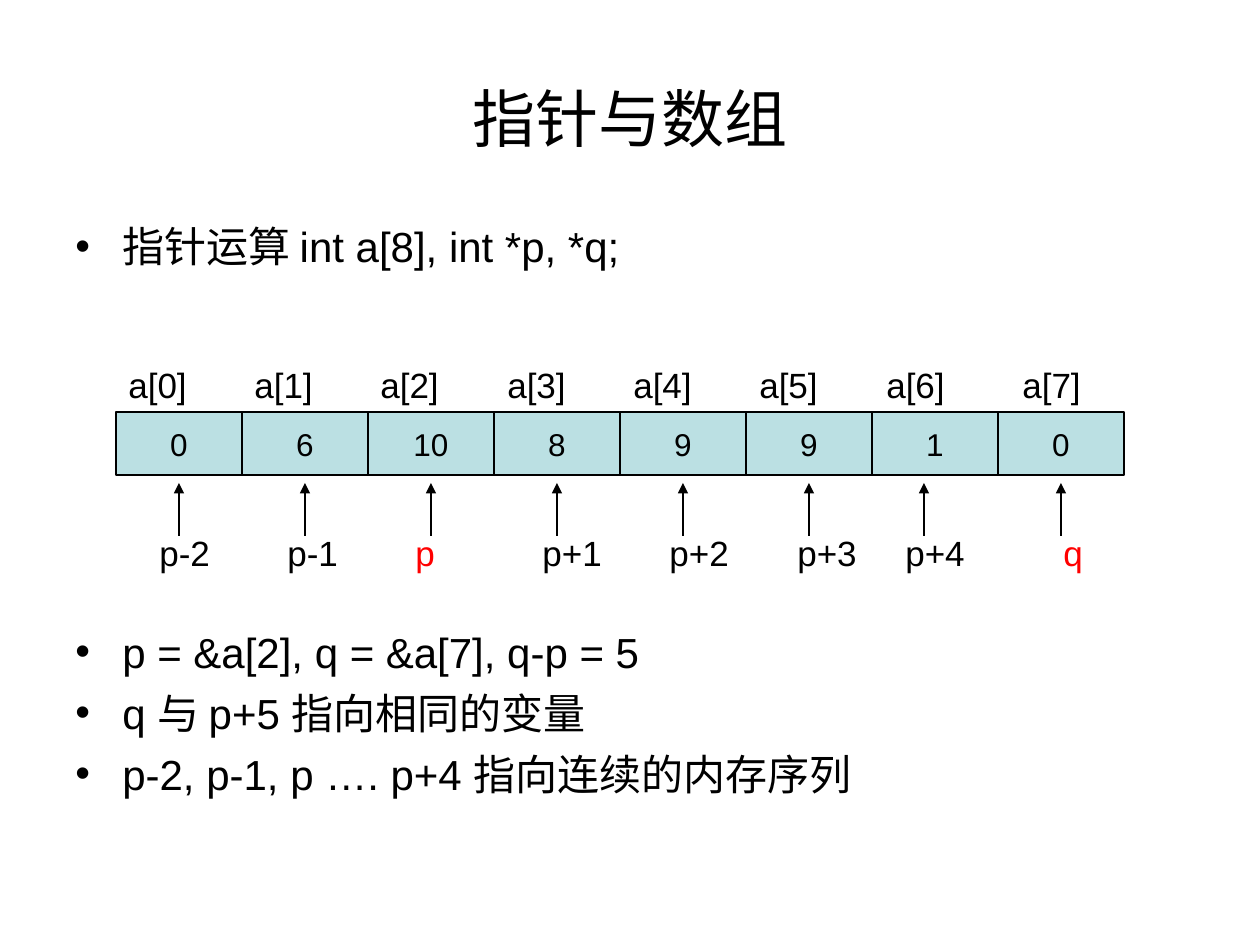
import dataclasses
import typing

import pptx
import pptx.dml.color
import pptx.enum.shapes
import pptx.enum.text
import pptx.oxml
import pptx.oxml.ns
import pptx.util

EMU = 914400 / 126  # one px
FONT = "Arial"
HUES = {"ink": "000000", "cell": "BBE0E3", "mark": "FF0000", "page": "FFFFFF"}
NS = pptx.oxml.ns.nsdecls("a")
ALIGN = pptx.enum.text.PP_ALIGN
MID = pptx.enum.text.MSO_ANCHOR.MIDDLE


@dataclasses.dataclass
class Box:
    left: int
    top: int
    width: int
    height: int


@dataclasses.dataclass
class Slot:
    name: str   # label above the cell
    value: str  # number in the cell
    ref: str    # pointer below the cell
    hue: str
    tip: int    # centre of the arrow
    up: int     # tab stop of the name
    down: int   # tab stop of the pointer


SLOTS = [
    Slot("a[0]", "0", "p-2", "ink", 179, 0, 0),
    Slot("a[1]", "6", "p-1", "ink", 305, 126, 128),
    Slot("a[2]", "10", "p", "mark", 431, 252, 256),
    Slot("a[3]", "8", "p+1", "ink", 557, 379, 383),
    Slot("a[4]", "9", "p+2", "ink", 683, 505, 510),
    Slot("a[5]", "9", "p+3", "ink", 809, 631, 638),
    Slot("a[6]", "1", "p+4", "ink", 924, 758, 746),
    Slot("a[7]", "0", "q", "mark", 1061, 894, 904),
]
CELL = Box(116, 412, 126, 63)


def px(n: int) -> int:
    return round(n * EMU)


def place(box: Box) -> typing.List[int]:
    return [px(n) for n in dataclasses.astuple(box)]


def color(name: str) -> pptx.dml.color.RGBColor:
    return pptx.dml.color.RGBColor.from_string(HUES[name])


def style(run, size: int, hue: str = "ink") -> None:
    run.font.size = pptx.util.Pt(size)
    run.font.name = FONT
    run.font.color.rgb = color(hue)


def add(node, xml: str) -> None:
    node.append(pptx.oxml.parse_xml(xml))


def write(slide, box: Box, text: str, size: int):
    frame = slide.shapes.add_textbox(*place(box)).text_frame
    frame.word_wrap = True
    frame.text = text
    for para in frame.paragraphs:
        for run in para.runs:
            style(run, size)
    return frame


def bullets(slide, box: Box, text: str, space: float) -> None:
    for para in write(slide, box, text, 24).paragraphs:
        para.line_spacing = space
        para.space_before = pptx.util.Pt(6)
        props = para._p.get_or_add_pPr()
        props.set("marL", str(px(47)))
        props.set("indent", str(px(-47)))
        add(props, f'<a:buClr {NS}><a:srgbClr val="{HUES["ink"]}"/></a:buClr>')
        add(props, f'<a:buFont {NS} typeface="{FONT}"/>')
        add(props, f'<a:buChar {NS} char="•"/>')


def labels(slide, box: Box, words: typing.List[str],
           stops: typing.List[int], hues: typing.List[str]) -> None:
    para = write(slide, box, "", 20).paragraphs[0]
    para.space_before = pptx.util.Pt(12.5)
    for i, (word, hue) in enumerate(zip(words, hues)):
        run = para.add_run()
        run.text = "\t" + word if i else word
        style(run, 20, hue)
    tabs = "".join(f'<a:tab pos="{px(n)}" algn="l"/>' for n in stops[1:])
    add(para._p.get_or_add_pPr(), f"<a:tabLst {NS}>{tabs}</a:tabLst>")


def cell(slide, box: Box, text: str) -> None:
    rect = slide.shapes.add_shape(
        pptx.enum.shapes.MSO_SHAPE.RECTANGLE, *place(box))
    rect.shadow.inherit = False
    rect.fill.solid()
    rect.fill.fore_color.rgb = color("cell")
    rect.line.color.rgb = color("ink")
    rect.line.width = pptx.util.Pt(0.75)
    frame = rect.text_frame
    frame.word_wrap = False
    frame.vertical_anchor = MID
    frame.text = text
    frame.paragraphs[0].alignment = ALIGN.CENTER
    style(frame.paragraphs[0].runs[0], 18)


def arrow(slide, x: int, low: int, high: int) -> None:
    line = slide.shapes.add_connector(
        pptx.enum.shapes.MSO_CONNECTOR.STRAIGHT,
        px(x), px(low), px(x), px(high))
    line.line.color.rgb = color("ink")
    line.line.width = pptx.util.Pt(0.75)
    add(line.line._get_or_add_ln(), f'<a:tailEnd {NS} type="triangle"/>')
    add(line._element.spPr, f"<a:effectLst {NS}/>")


def main() -> None:
    deck = pptx.Presentation()
    deck.slide_width, deck.slide_height = px(1260), px(945)
    slide = deck.slides.add_slide(deck.slide_layouts[6])
    slide.background.fill.solid()
    slide.background.fill.fore_color.rgb = color("page")

    # Title and opening point
    title = write(slide, Box(63, 38, 1134, 158), "指针与数组", 36)
    title.vertical_anchor = MID
    title.paragraphs[0].alignment = ALIGN.CENTER
    bullets(slide, Box(63, 220, 1144, 73),
            "指针运算 int a[8], int *p, *q;", 0.9)

    # Array cells
    for i, slot in enumerate(SLOTS):
        left = CELL.left + i * CELL.width
        cell(slide, dataclasses.replace(CELL, left=left), slot.value)

    # Names above, pointers below
    labels(slide, Box(116, 357, 1008, 55), [s.name for s in SLOTS],
           [s.up for s in SLOTS], ["ink"] * len(SLOTS))
    labels(slide, Box(147, 525, 955, 55), [s.ref for s in SLOTS],
           [s.down for s in SLOTS], [s.hue for s in SLOTS])

    # Closing points
    bullets(slide, Box(63, 620, 1144, 220),
            "p = &a[2], q = &a[7], q-p = 5\n"
            "q 与 p+5 指向相同的变量\n"
            "p-2, p-1, p …. p+4 指向连续的内存序列", 1.0)

    # Arrows
    for slot in SLOTS:
        arrow(slide, slot.tip, 536, 483)

    deck.save("out.pptx")


if __name__ == "__main__":
    main()
